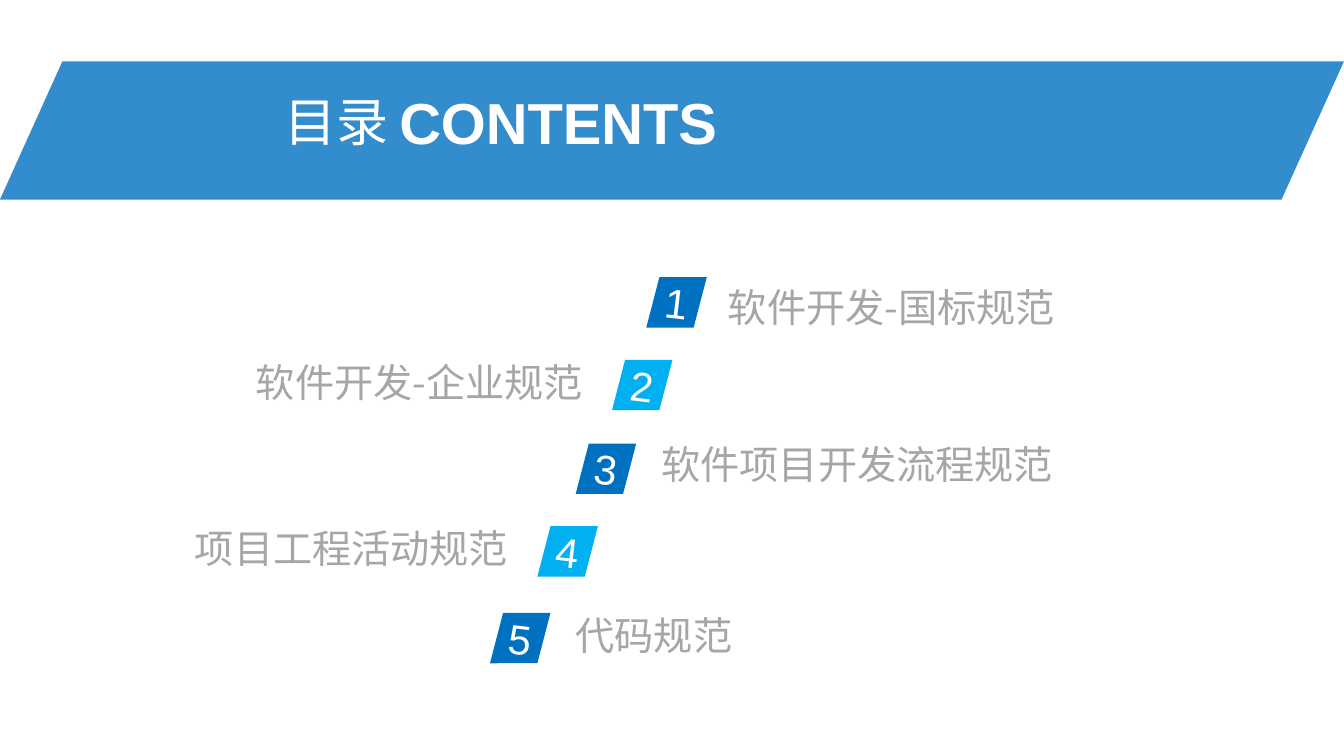
import math

from lxml import etree
from pptx import Presentation
from pptx.dml.color import RGBColor
from pptx.enum.shapes import MSO_SHAPE
from pptx.enum.text import MSO_ANCHOR, MSO_AUTO_SIZE, PP_ALIGN
from pptx.oxml.ns import qn
from pptx.util import Inches, Pt

PARALLELOGRAM = MSO_SHAPE.PARALLELOGRAM
MIDDLE = MSO_ANCHOR.MIDDLE
GROW = MSO_AUTO_SIZE.SHAPE_TO_FIT_TEXT
LEFT, CENTER, RIGHT = PP_ALIGN.LEFT, PP_ALIGN.CENTER, PP_ALIGN.RIGHT

COLORS = {"blue": "0070C0", "sky": "00B0F0", "grey": "A6A6A6", "white": "FFFFFF"}
LATIN, CJK = "Arial", "Noto Sans CJK SC"

# Number tile: slanted outline around its centre, tilted with its digit
TILT = 6.9
TILE = [(0.3, -0.25), (0.17, 0.25), (-0.3, 0.25), (-0.17, -0.25)]

# Tile centre, label box (left, top, width), label alignment, label
ITEMS = [
    ((6.71, 3.0), (7.22, 2.81, 3.78), LEFT, "软件开发-国标规范"),
    ((6.37, 3.82), (0.41, 3.55, 5.37), RIGHT, "软件开发-企业规范"),
    ((6.01, 4.65), (6.56, 4.37, 3.95), LEFT, "软件项目开发流程规范"),
    ((5.63, 5.47), (1.91, 5.2, 3.13), RIGHT, "项目工程活动规范"),
    ((5.16, 6.33), (5.71, 6.06, 3.95), LEFT, "代码规范"),
]


def rgb(name):
    return RGBColor.from_string(COLORS[name])


def paint(sp, color):
    sp.shadow.inherit = False
    sp.fill.solid()
    sp.fill.fore_color.rgb = rgb(color)
    sp.line.fill.background()


def write(sp, text, size, color, font, align, bold=False, wrap=True):
    tf = sp.text_frame
    frame = {"margin_left": 0, "margin_top": 0, "margin_right": 0,
             "margin_bottom": 0, "vertical_anchor": MIDDLE, "word_wrap": wrap}
    for name, value in frame.items():
        setattr(tf, name, value)
    p = tf.paragraphs[0]
    p.alignment = align
    r = p.add_run()
    r.text = text
    for name, value in {"size": Pt(size), "bold": bold, "name": font}.items():
        setattr(r.font, name, value)
    r.font.color.rgb = rgb(color)
    # East Asian typeface follows the Latin one
    etree.SubElement(r.font._element, qn("a:ea"), typeface=CJK)


def add_text(s, box, text, **style):
    sp = s.shapes.add_textbox(*map(Inches, box))
    write(sp, text, **style)
    sp.text_frame.auto_size = GROW


def add_banner(s):
    sp = s.shapes.add_shape(PARALLELOGRAM, *map(Inches, (0, 0.61, 13.33, 1.37)))
    sp.adjustments[0] = 0.452
    paint(sp, "blue")
    tint = sp.fill._xPr.find(qn("a:solidFill"))[0]
    etree.SubElement(tint, qn("a:alpha"), val="80000")


def add_tile(s, center, number, color):
    # Turn the outline back so that the shape's rotation restores the slant
    cos, sin = math.cos(math.radians(TILT)), math.sin(math.radians(TILT))
    points = [(Inches(center[0] + x * cos + y * sin),
               Inches(center[1] - x * sin + y * cos)) for x, y in TILE]
    outline = s.shapes.build_freeform(*points[0])
    outline.add_line_segments(points[1:], close=True)
    sp = outline.convert_to_shape()
    sp.rotation = TILT
    paint(sp, color)
    write(sp, str(number), 29.6, "white", LATIN, CENTER)


def main():
    prs = Presentation()
    prs.slide_width, prs.slide_height = Inches(13.33), Inches(7.5)
    s = prs.slides.add_slide(prs.slide_layouts[6])

    # Title banner
    add_banner(s)
    add_text(s, (2.72, 0.83, 1.24, 0.73), "目录",
             size=37.2, color="white", font=LATIN, align=CENTER)
    add_text(s, (3.96, 0.85, 3.19, 0.7), "CONTENTS", size=41.3,
             color="white", font=LATIN, align=LEFT, bold=True, wrap=False)

    # Numbered contents
    for number, (center, box, align, label) in enumerate(ITEMS, 1):
        add_text(s, (*box, 0.47), label,
                 size=28, color="grey", font=CJK, align=align)
        add_tile(s, center, number, "blue" if number % 2 else "sky")

    prs.save("out.pptx")


if __name__ == "__main__":
    main()
